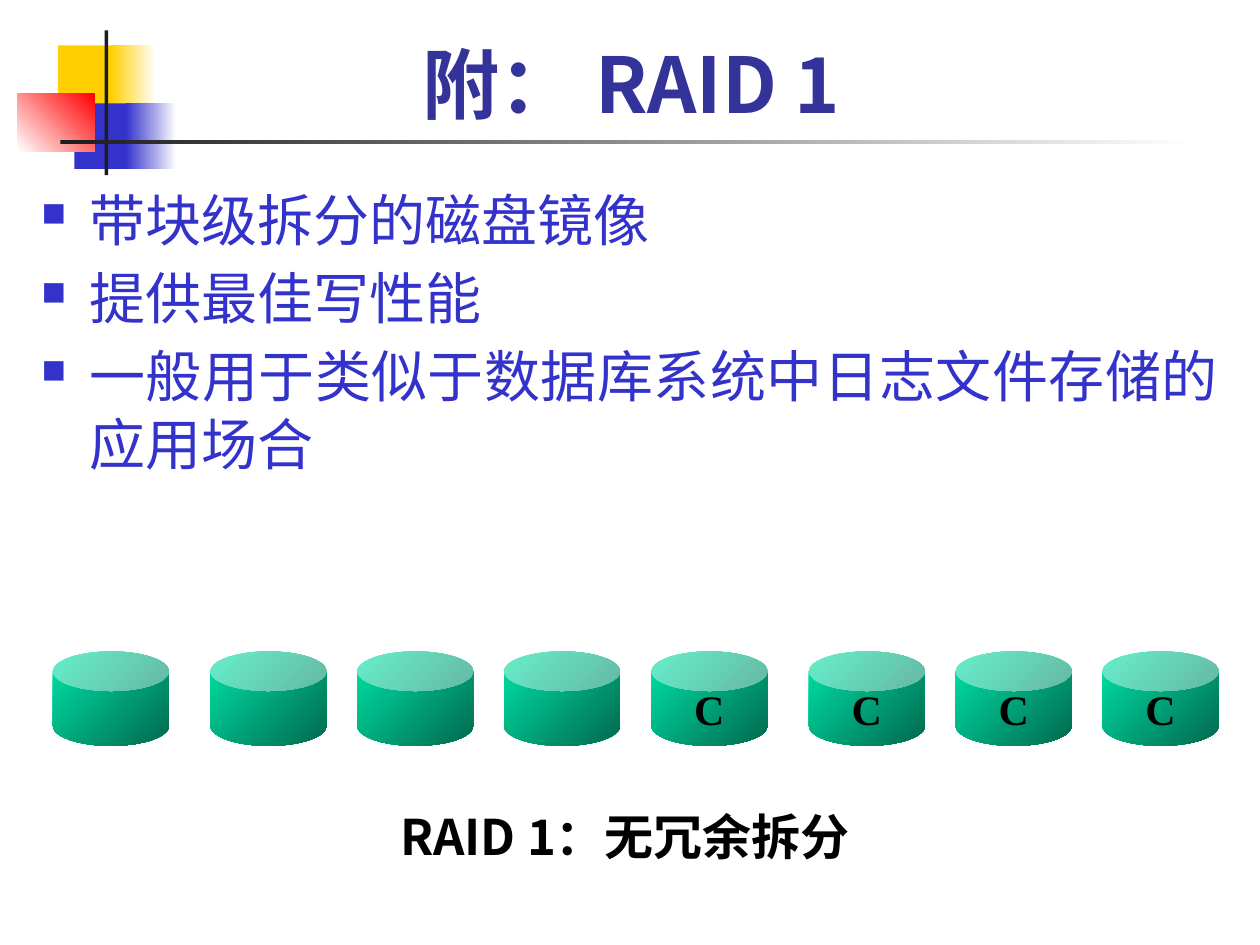
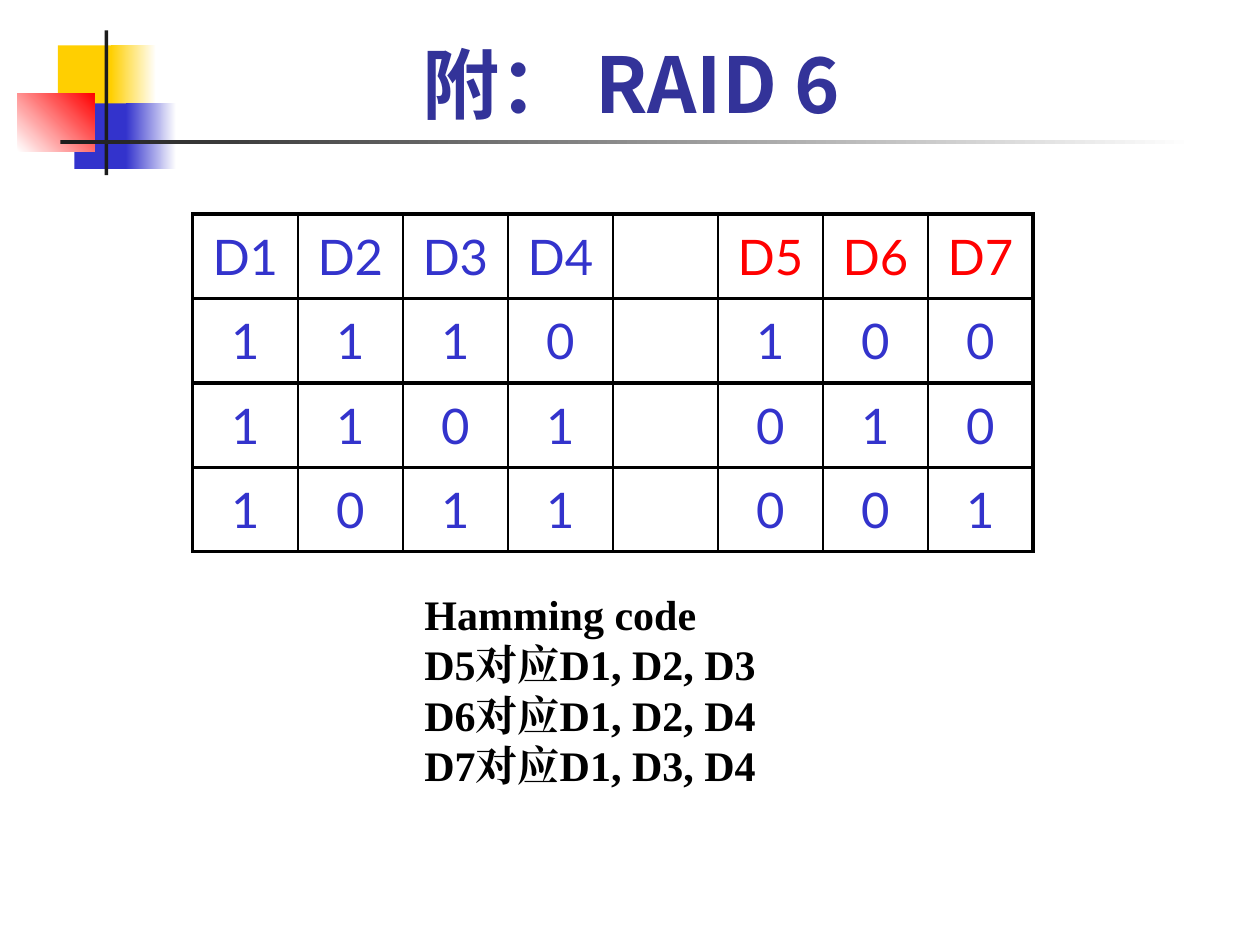
from lxml import etree
from pptx import Presentation
from pptx.dml.color import RGBColor
from pptx.enum.shapes import MSO_SHAPE
from pptx.enum.text import MSO_ANCHOR, PP_ALIGN
from pptx.oxml.ns import qn
from pptx.util import Inches, Pt

RECT, CAN = MSO_SHAPE.RECTANGLE, MSO_SHAPE.CAN
TOP, MIDDLE, BOTTOM = MSO_ANCHOR.TOP, MSO_ANCHOR.MIDDLE, MSO_ANCHOR.BOTTOM
LEFT, CENTER, JUSTIFY = PP_ALIGN.LEFT, PP_ALIGN.CENTER, PP_ALIGN.JUSTIFY

WHITE, BLACK, INK = "FFFFFF", "000000", "1C1C1C"
YELLOW, BLUE, RED, NAVY = "FFCF01", "3333CC", "FF0000", "333399"
CAN_LIGHT, CAN_DARK = "00E4A8", "00694E"
LATO, SERIF, MONO = "Lato", "Times New Roman", "DejaVu Sans Mono"
CJK_SC, CJK_JP = "Noto Sans CJK SC", "Noto Sans CJK JP"
HANG = 0.38
THIN, THICK = 1, 2.25


def rgb(value):
    return RGBColor.from_string(value)


def add_run(p, text, font, size, color, bold=False):
    r = p.add_run()
    r.text = text
    r.font.name = font
    r.font.size = Pt(size)
    r.font.bold = bold
    r.font.color.rgb = rgb(color)
    ea = etree.SubElement(r.font._element, qn("a:ea"))
    ea.set("typeface", font)


def add_box(slide, box, anchor=TOP):
    tf = slide.shapes.add_textbox(*map(Inches, box)).text_frame
    tf.word_wrap = True
    tf.vertical_anchor = anchor
    return tf


def add_paragraph(tf, index, align):
    p = tf.add_paragraph() if index else tf.paragraphs[0]
    p.alignment = align
    return p


def hang(p):
    pPr = p._p.get_or_add_pPr()
    pPr.set("marL", str(Inches(HANG)))
    pPr.set("indent", str(-Inches(HANG)))
    return pPr


def add_bullet(p, color):
    pPr = hang(p)
    clr = etree.SubElement(pPr, qn("a:buClr"))
    etree.SubElement(clr, qn("a:srgbClr")).set("val", color)
    etree.SubElement(pPr, qn("a:buSzPct")).set("val", "60000")
    etree.SubElement(pPr, qn("a:buChar")).set("char", "■")


def add_filled(slide, kind, box, start, end=None, angle=0):
    sp = slide.shapes.add_shape(kind, *map(Inches, box))
    sp.shadow.inherit = False
    sp.line.fill.background()
    if end is None:
        sp.fill.solid()
        sp.fill.fore_color.rgb = rgb(start)
        return sp
    sp.fill.gradient()
    sp.fill.gradient_angle = (360 - angle) % 360
    for stop, position, color in zip(sp.fill.gradient_stops, (0, 1), (start, end)):
        stop.position = position
        stop.color.rgb = rgb(color)
    return sp


def add_emblem(slide, left, top):
    parts = [
        (0.32, 0.12, 0.48, 0.52, YELLOW),
        (0.74, 0.12, 0.36, 0.52, YELLOW, WHITE),
        (0.45, 0.58, 0.46, 0.52, BLUE),
        (0.86, 0.58, 0.4, 0.52, BLUE, WHITE),
        (0, 0.5, 0.61, 0.46, WHITE, RED, 315),
        (0.69, 0, 0.03, 1.15, INK),
        (0.34, 0.87, 9, 0.03, INK, WHITE),
    ]
    for dx, dy, width, height, *paint in parts:
        add_filled(slide, RECT, (left + dx, top + dy, width, height), *paint)


def add_title(slide, box, topic):
    p = add_paragraph(add_box(slide, box, BOTTOM), 0, CENTER)
    add_run(p, "附： ", LATO, 44, NAVY, True)
    add_run(p, topic, CJK_SC, 44, NAVY, True)


def new_slide(prs, topic):
    slide = prs.slides.add_slide(prs.slide_layouts[6])
    add_emblem(slide, 0.14, 0.24)
    add_title(slide, (0.75, 0.08, 8.52, 0.99), topic)
    return slide


def add_bullets(slide, box, items):
    tf = add_box(slide, box)
    for i, item in enumerate(items):
        p = add_paragraph(tf, i, JUSTIFY)
        add_bullet(p, BLUE)
        if i:
            p.space_before = Pt(6.4)
        add_run(p, item, MONO, 32, BLUE)


def add_disks(slide, left, top):
    for half, label in enumerate(("", "C")):
        for i in range(4):
            offset = 1.25 + (i - 1) * 1.165 if i else 0
            box = (left + half * 4.75 + offset, top, 0.92, 0.75)
            sp = add_filled(slide, CAN, box, CAN_LIGHT, CAN_DARK, 45)
            sp.adjustments[0] = 0.419
            if label:
                tf = sp.text_frame
                tf.word_wrap = False
                tf.vertical_anchor = MIDDLE
                add_run(add_paragraph(tf, 0, CENTER), label, SERIF, 24, BLACK, True)


def add_caption(slide, box, text):
    add_run(add_paragraph(add_box(slide, box), 0, CENTER), text, CJK_JP, 28, BLACK, True)


def set_borders(cell, widths):
    tcPr = cell._tc.get_or_add_tcPr()
    for i, (side, width) in enumerate(widths.items()):
        ln = etree.Element(qn("a:ln" + side), w=str(Pt(width)))
        fill = etree.SubElement(ln, qn("a:solidFill"))
        etree.SubElement(fill, qn("a:srgbClr")).set("val", BLACK)
        tcPr.insert(i, ln)


def add_code_table(slide, box, rows):
    count = len(rows[0])
    table = slide.shapes.add_table(len(rows), count, *map(Inches, box)).table
    for column in table.columns:
        column.width = Inches(box[2] / count)
    for r, row in enumerate(rows):
        table.rows[r].height = Inches(box[3] / len(rows))
        for c, text in enumerate(row):
            cell = table.cell(r, c)
            cell.fill.background()
            cell.vertical_anchor = MIDDLE
            set_borders(cell, {
                "L": THIN if c else THICK,
                "R": THIN if c < count - 1 else THICK,
                "T": THICK,
                "B": THICK,
            })
            if text:
                color = RED if r == 0 and c > 4 else BLUE
                p = add_paragraph(cell.text_frame, 0, CENTER)
                add_run(p, text, LATO, 28, color)


def add_parity_notes(slide, box, lines):
    tf = add_box(slide, box)
    for i, line in enumerate(lines):
        p = add_paragraph(tf, i, LEFT)
        hang(p)
        add_run(p, line, SERIF, 24, BLACK, True)


def build_raid1(prs):
    slide = new_slide(prs, "RAID 1")
    add_bullets(slide, (0.23, 1.42, 9.54, 2.83), [
        "带块级拆分的磁盘镜像",
        "提供最佳写性能",
        "一般用于类似于数据库系统中日志文件存储的应用场合",
    ])
    add_disks(slide, 0.42, 5.17)
    add_caption(slide, (3, 6.35, 3.92, 0.57), "RAID 1：无冗余拆分")


def build_raid6(prs):
    slide = new_slide(prs, "RAID 6")
    add_code_table(slide, (1.53, 1.7, 6.67, 2.68), [
        ["D1", "D2", "D3", "D4", "", "D5", "D6", "D7"],
        ["1", "1", "1", "0", "", "1", "0", "0"],
        ["1", "1", "0", "1", "", "0", "1", "0"],
        ["1", "0", "1", "1", "", "0", "0", "1"],
    ])
    add_parity_notes(slide, (3.27, 4.62, 3.23, 2.3), [
        "Hamming code",
        "D5对应D1, D2, D3",
        "D6对应D1, D2, D4",
        "D7对应D1, D3, D4",
    ])


def main():
    prs = Presentation()
    prs.slide_width, prs.slide_height = Inches(10), Inches(7.5)
    build_raid1(prs)
    build_raid6(prs)
    prs.save("out.pptx")


if __name__ == "__main__":
    main()
